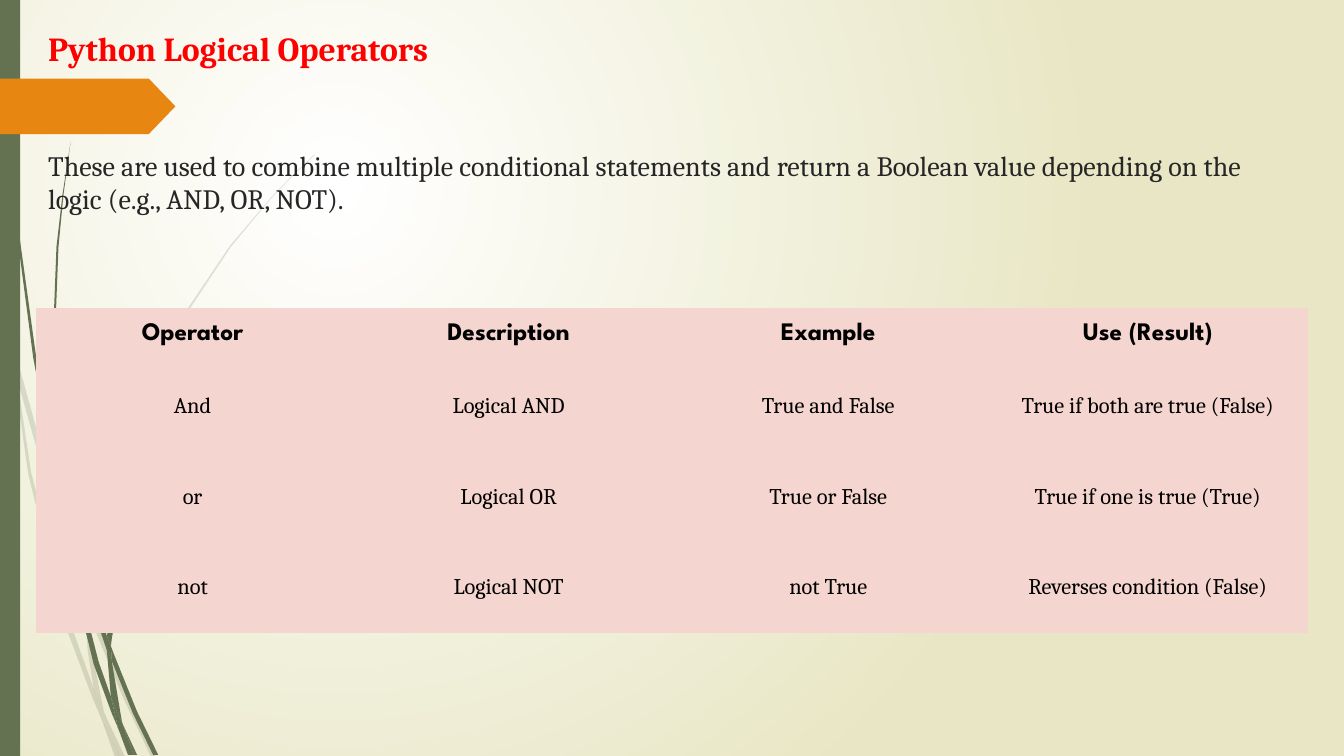
from lxml import etree
from pptx import Presentation
from pptx.dml.color import RGBColor
from pptx.enum.shapes import MSO_SHAPE as Preset
from pptx.enum.text import MSO_ANCHOR as Anchor, PP_ALIGN as Align
from pptx.oxml.ns import qn
from pptx.util import Inches, Pt

CELL = Inches(0.01)  # the grid has 1333 columns and 750 rows
COLUMNS, ROWS = 1333, 750
PLAIN_TABLE = "{2D5ABB26-0587-4C30-8999-92F81FD0307C}"

# Outlines of the grass blades, in grid columns and rows
PALE_BLADES = [
    [(11, 350), (9, 322), (0, 282), (0, 299), (10, 344)],
    [(58, 522), (84, 599), (85, 586), (62, 520), (14, 345), (17, 376)],
    [(92, 607), (88, 596), (88, 610), (123, 694), (150, 751), (155, 751), (127, 692)],
    [(119, 751), (124, 751), (105, 711)],
    [(93, 683), (70, 619), (31, 469), (17, 376), (11, 350), (28, 470), (65, 621),
     (92, 693), (101, 714), (99, 707)],
    [(84, 599), (87, 646), (93, 683), (96, 692), (105, 711), (103, 706), (91, 646),
     (88, 610), (88, 608)],
    [(88, 584), (110, 462), (160, 349), (229, 245), (268, 198), (290, 175), (312, 154),
     (312, 153), (289, 175), (268, 197), (228, 244), (158, 348), (107, 461), (85, 584),
     (85, 586), (88, 596)],
    [(101, 714), (114, 751), (119, 751)],
    [(88, 608), (88, 610), (88, 596), (85, 586), (84, 599)],
    [(96, 692), (93, 683), (99, 707), (101, 714), (119, 751), (105, 711)],
]
DARK_BLADES = [
    [(7, 110), (17, 233), (33, 355), (56, 477), (57, 481), (55, 457), (55, 453),
     (36, 355), (19, 232), (8, 109), (5, 48), (4, 0), (3, 0), (4, 48)],
    [(88, 592), (106, 645), (106, 633), (106, 631), (93, 590), (60, 472), (64, 505)],
    [(113, 649), (110, 641), (111, 656), (132, 708), (152, 749), (157, 749), (136, 706)],
    [(110, 691), (98, 657), (72, 556), (64, 505), (57, 477), (68, 557), (93, 659),
     (111, 708), (117, 722), (116, 717)],
    [(60, 472), (58, 453), (54, 349), (58, 245), (63, 193), (70, 141), (62, 193),
     (56, 245), (52, 349), (55, 449)],
    [(133, 749), (136, 749), (122, 719)],
    [(57, 477), (64, 505), (60, 472), (55, 449), (55, 453)],
    [(111, 633), (125, 552), (158, 476), (205, 406), (231, 374), (245, 359), (261, 344),
     (260, 344), (245, 358), (231, 373), (204, 405), (156, 474), (122, 551), (106, 631),
     (110, 641)],
    [(117, 722), (127, 749), (131, 749)],
    [(106, 645), (110, 691), (116, 706), (122, 719), (121, 716), (111, 656), (109, 651)],
    [(106, 645), (109, 651), (111, 656), (110, 641), (106, 631), (106, 633)],
    [(116, 706), (110, 691), (116, 717), (117, 722), (130, 749), (133, 749), (122, 719)],
]
OPERATORS = [
    ["Operator", "Description", "Example", "Use (Result)"],
    ["And", "Logical AND", "True and False", "True if both are true (False)"],
    ["or", "Logical OR", "True or False", "True if one is true (True)"],
    ["not", "Logical NOT", "not True", "Reverses condition (False)"],
]


def color(hex_code):
    return RGBColor.from_string(hex_code)


def write(paragraph, text, *, size, hue, font="Cambria", bold=False,
          align=Align.LEFT, before=0):
    paragraph.alignment = align
    if before:
        paragraph.space_before = Pt(before)
    run = paragraph.add_run()
    run.text = text
    run.font.name, run.font.size, run.font.bold = font, Pt(size), bold
    run.font.color.rgb = color(hue)


class Page:
    green, orange, pink = "647252", "E78712", "F5D5CF"
    red, charcoal, black = "FF0000", "262626", "000000"

    def __init__(self, deck):
        self.slide = deck.slides.add_slide(deck.slide_layouts[6])
        self.shapes = self.slide.shapes

    @staticmethod
    def box(*cells):
        return [cell * CELL for cell in cells]

    def backdrop(self, inner, outer):
        fill = self.slide.background.fill
        fill.gradient()
        for stop, hue, position in zip(fill.gradient_stops, (inner, outer), (0, 1)):
            stop.color.rgb, stop.position = color(hue), position
        gradient = next(self.slide.element.iter(qn("a:gradFill")))
        gradient.remove(gradient.find(qn("a:lin")))
        circle = etree.SubElement(gradient, qn("a:path"), {"path": "circle"})
        etree.SubElement(circle, qn("a:fillToRect"),
                         {"l": "50000", "t": "50000", "r": "100000", "b": "100000"})

    def paint(self, shape, hue, opacity=100):
        shape.shadow.inherit = False
        shape.line.fill.background()
        shape.fill.solid()
        shape.fill.fore_color.rgb = color(hue)
        if opacity < 100:
            tone = next(shape.element.spPr.iter(qn("a:srgbClr")))
            etree.SubElement(tone, qn("a:alpha"), {"val": str(opacity * 1000)})

    def blade(self, outline, opacity):
        start, *rest = outline
        builder = self.shapes.build_freeform(*start, scale=CELL)
        builder.add_line_segments(rest, close=True)
        self.paint(builder.convert_to_shape(), self.green, opacity)

    def block(self, preset, area, hue):
        shape = self.shapes.add_shape(preset, *self.box(*area))
        self.paint(shape, hue)
        return shape

    def text(self, area, paragraphs):
        frame = self.shapes.add_textbox(*self.box(*area)).text_frame
        frame.word_wrap = True
        for index, (content, style) in enumerate(paragraphs):
            paragraph = frame.add_paragraph() if index else frame.paragraphs[0]
            write(paragraph, content, **style)

    def table(self, area, widths, heights, rows):
        grid = self.shapes.add_table(len(rows), len(widths), *self.box(*area)).table
        grid.first_row = grid.horz_banding = False
        next(grid._tbl.iter(qn("a:tableStyleId"))).text = PLAIN_TABLE
        for column, width in zip(grid.columns, widths):
            column.width = width * CELL
        for row, height in zip(grid.rows, heights):
            row.height = height * CELL
        header = dict(size=18, font="League Spartan", bold=True)
        for r, row in enumerate(rows):
            for c, content in enumerate(row):
                cell = grid.cell(r, c)
                cell.fill.solid()
                cell.fill.fore_color.rgb = color(self.pink)
                cell.vertical_anchor = Anchor.MIDDLE
                style = dict(size=16) if r else header
                write(cell.text_frame.paragraphs[0], content, hue=self.black,
                      align=Align.CENTER, **style)


def main():
    deck = Presentation()
    deck.slide_width, deck.slide_height = COLUMNS * CELL, ROWS * CELL
    page = Page(deck)

    # Background and grass on the left edge
    page.backdrop("FFFFFF", "E8E6C4")
    for blades, opacity in ((PALE_BLADES, 20), (DARK_BLADES, 100)):
        for outline in blades:
            page.blade(outline, opacity)
    page.block(Preset.RECTANGLE, (0, 0, 20, ROWS), page.green)
    pointer = page.block(Preset.PENTAGON, (0, 78, 174, 55), page.orange)
    pointer.adjustments[0] = 0.48

    # Heading and definition
    page.text((38, 23, 1220, 219), [
        ("Python Logical Operators", dict(size=24, hue=page.red, bold=True)),
        ("These are used to combine multiple conditional statements and return a "
         "Boolean value depending on the logic (e.g., AND, OR, NOT).",
         dict(size=20, hue=page.charcoal, before=57)),
    ])

    # Operator table
    page.table((36, 306, 1261, 322), [310] + [317] * 3, [52] + [90] * 3, OPERATORS)

    deck.save("out.pptx")


if __name__ == "__main__":
    main()
